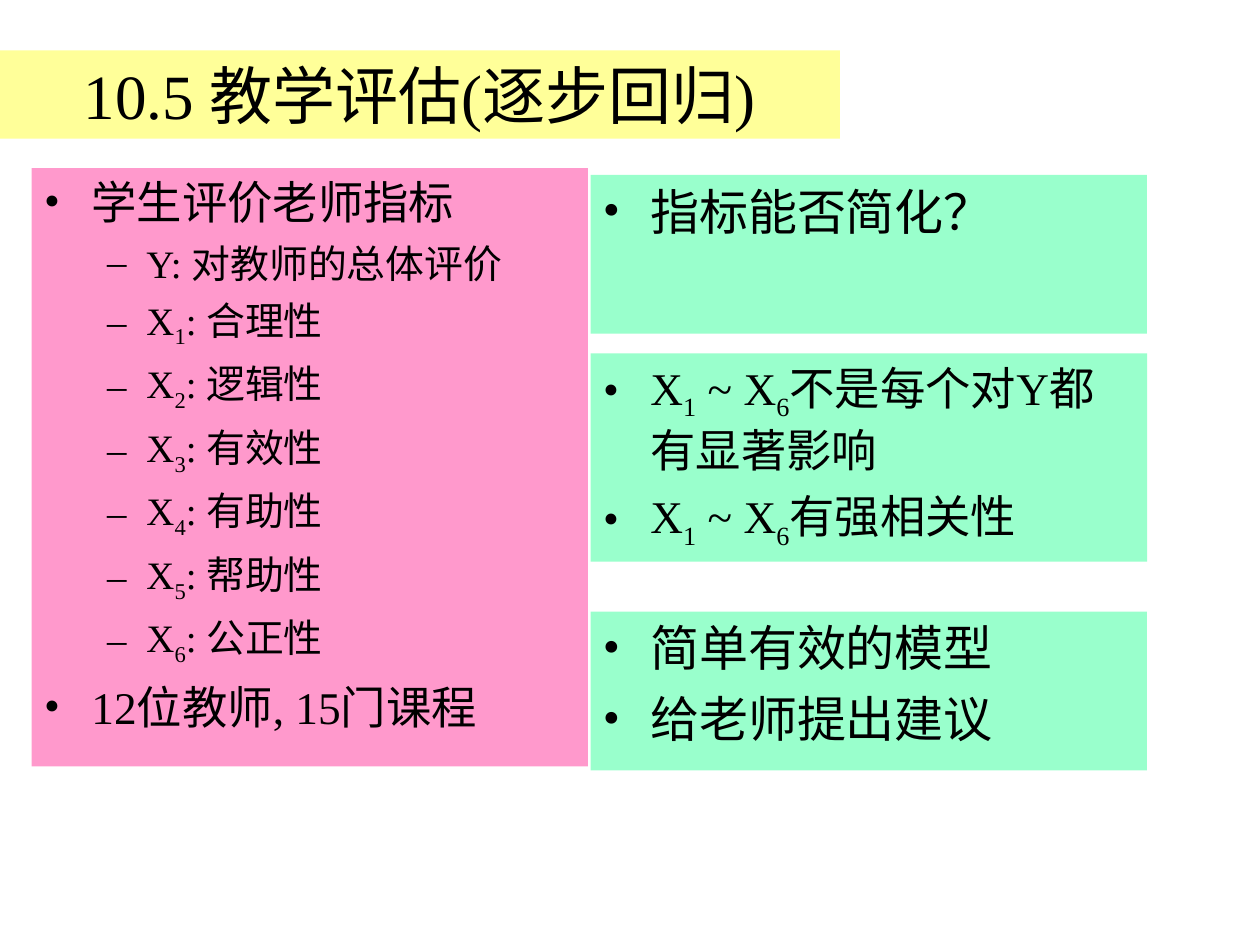
from dataclasses import dataclass

from lxml import etree
from pptx import Presentation
from pptx.dml.color import RGBColor
from pptx.enum.shapes import MSO_SHAPE
from pptx.enum.text import MSO_ANCHOR, MSO_AUTO_SIZE, PP_ALIGN
from pptx.oxml.ns import qn
from pptx.util import Pt

RECTANGLE = MSO_SHAPE.RECTANGLE
TOP, MIDDLE = MSO_ANCHOR.TOP, MSO_ANCHOR.MIDDLE
NO_AUTOFIT = MSO_AUTO_SIZE.NONE
LEFT, CENTER = PP_ALIGN.LEFT, PP_ALIGN.CENTER
TWO_CONTENT_LAYOUT = 3


@dataclass(frozen=True)
class Theme:
    font: str = "Times New Roman"
    text: str = "000000"
    yellow: str = "FFFF99"
    pink: str = "FF99CC"
    green: str = "99FFCC"
    title_size: float = 36
    large_size: float = 28
    body_size: float = 25.9
    sub_size: float = 22.2


@dataclass(frozen=True)
class Frame:
    left: float
    top: float
    width: float
    height: float


@dataclass(frozen=True)
class Bullet:
    mark: str
    level: int
    margin: float
    hanging: float
    space_before: float


@dataclass(frozen=True)
class Item:
    text: str  # an underscore makes the next character a subscript
    size: float
    bullet: Bullet


THEME = Theme()
DOT = Bullet("•", 0, 27, 27, 7)
DASH = Bullet("–", 1, 58.5, 22.5, 6)

RIGHT_LEFT, PANEL_WIDTH = 337.5, 318
TITLE_FRAME = Frame(0, 28.8, 480, 50.4)
INDICATOR_FRAME = Frame(18, 96, PANEL_WIDTH, 342)
FINDING_FRAME = Frame(RIGHT_LEFT, 202, PANEL_WIDTH, 119)
QUESTION_FRAME = Frame(RIGHT_LEFT, 100, PANEL_WIDTH, 90.7)
GOAL_FRAME = Frame(RIGHT_LEFT, 349.5, PANEL_WIDTH, 90.7)

QUALITIES = ["合理性", "逻辑性", "有效性", "有助性", "帮助性", "公正性"]


def add_span(para, text: str, size: float, subscript: bool = False) -> None:
    span = para.add_run()
    span.text = text
    span.font.name = THEME.font
    span.font.size = Pt(size)
    span.font.color.rgb = RGBColor.from_string(THEME.text)
    if subscript:
        span.font._element.set("baseline", "-25000")


def add_spans(para, text: str, size: float) -> None:
    first, *rest = text.split("_")
    add_span(para, first, size)
    for piece in rest:
        add_span(para, piece[0], size, subscript=True)
        if piece[1:]:
            add_span(para, piece[1:], size)


def set_bullet(para, bullet: Bullet) -> None:
    para.level = bullet.level
    properties = para._p.get_or_add_pPr()
    properties.set("marL", str(Pt(bullet.margin)))
    properties.set("indent", str(-Pt(bullet.hanging)))
    color = etree.SubElement(properties, qn("a:buClr"))
    etree.SubElement(color, qn("a:srgbClr"), val=THEME.text)
    etree.SubElement(properties, qn("a:buFont"), typeface=THEME.font)
    etree.SubElement(properties, qn("a:buChar"), char=bullet.mark)


def style_box(box, frame: Frame, fill: str, anchor) -> None:
    box.left, box.top = Pt(frame.left), Pt(frame.top)
    box.width, box.height = Pt(frame.width), Pt(frame.height)
    box.fill.solid()
    box.fill.fore_color.rgb = RGBColor.from_string(fill)
    box.line.fill.background()
    box.shadow.inherit = False
    box.text_frame.word_wrap = True
    box.text_frame.auto_size = NO_AUTOFIT
    box.text_frame.vertical_anchor = anchor


def fill_list(box, frame: Frame, fill: str, items: list[Item]) -> None:
    style_box(box, frame, fill, TOP)
    for index, item in enumerate(items):
        para = box.text_frame.add_paragraph() if index else box.text_frame.paragraphs[0]
        set_bullet(para, item.bullet)
        para.alignment = LEFT
        para.space_before = Pt(item.bullet.space_before if index else 0)
        add_spans(para, item.text, item.size)


def add_panel(page, frame: Frame, lines: list[str]) -> None:
    box = page.shapes.add_shape(RECTANGLE, 0, 0, Pt(frame.width), Pt(frame.height))
    fill_list(box, frame, THEME.green, [Item(line, THEME.large_size, DOT) for line in lines])


def main() -> None:
    deck = Presentation()
    deck.slide_width, deck.slide_height = Pt(720), Pt(540)
    page = deck.slides.add_slide(deck.slide_layouts[TWO_CONTENT_LAYOUT])

    # Title band
    title = page.shapes.title
    style_box(title, TITLE_FRAME, THEME.yellow, MIDDLE)
    para = title.text_frame.paragraphs[0]
    para.alignment = CENTER
    add_span(para, "10.5 教学评估(逐步回归)", THEME.title_size)

    # Indicators used by the students
    variables = ["Y: 对教师的总体评价"]
    variables += [f"X_{number}: {quality}" for number, quality in enumerate(QUALITIES, 1)]
    indicators = [
        Item("学生评价老师指标", THEME.body_size, DOT),
        *[Item(variable, THEME.sub_size, DASH) for variable in variables],
        Item("12位教师, 15门课程", THEME.body_size, DOT),
    ]
    fill_list(page.placeholders[1], INDICATOR_FRAME, THEME.pink, indicators)

    # Findings about the variables
    findings = ["X_1 ~ X_6不是每个对Y都有显著影响", "X_1 ~ X_6有强相关性"]
    fill_list(page.placeholders[2], FINDING_FRAME, THEME.green,
              [Item(finding, THEME.body_size, DOT) for finding in findings])

    # Question above and goals below
    add_panel(page, QUESTION_FRAME, ["指标能否简化？"])
    add_panel(page, GOAL_FRAME, ["简单有效的模型", "给老师提出建议"])

    deck.save("out.pptx")


if __name__ == "__main__":
    main()
